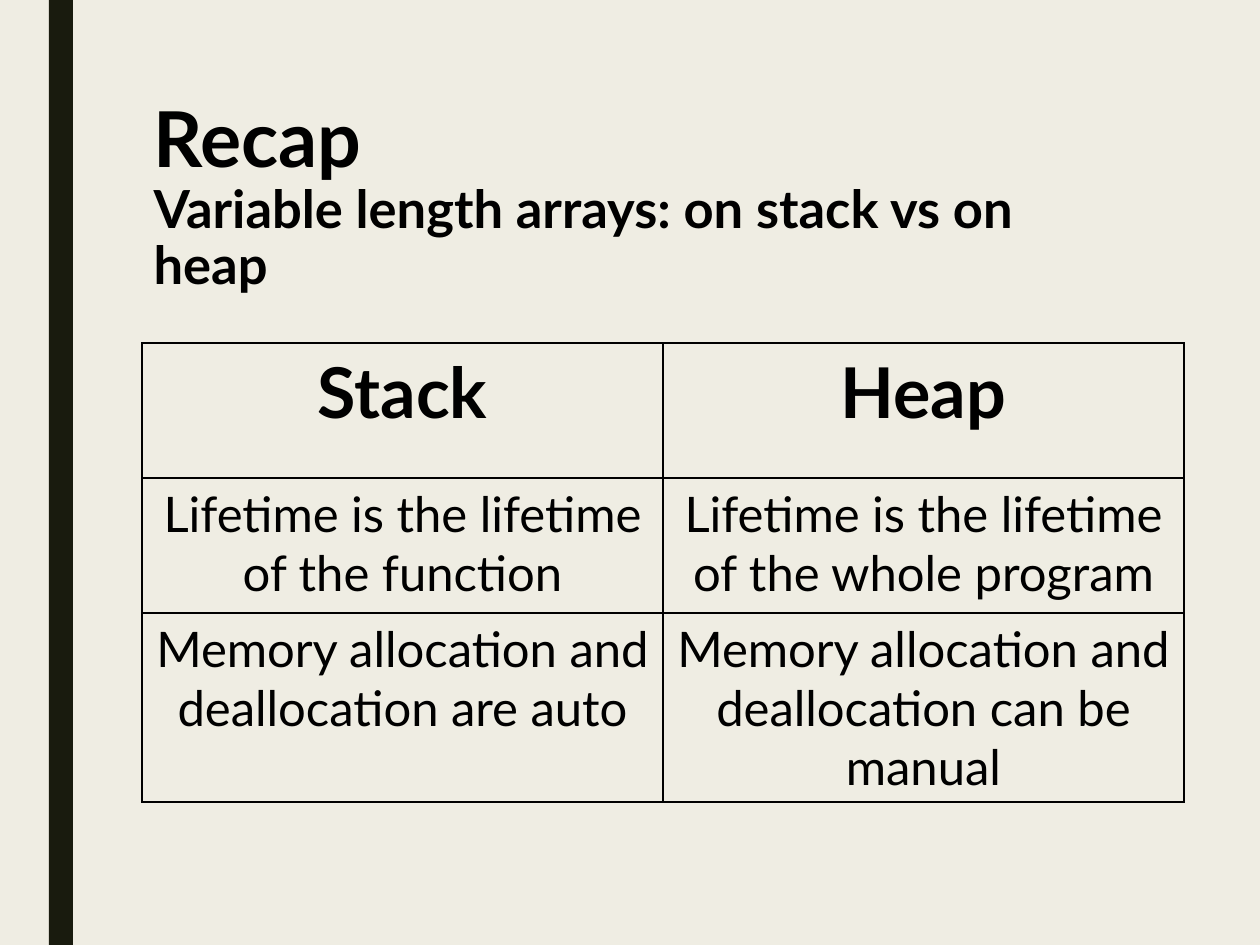
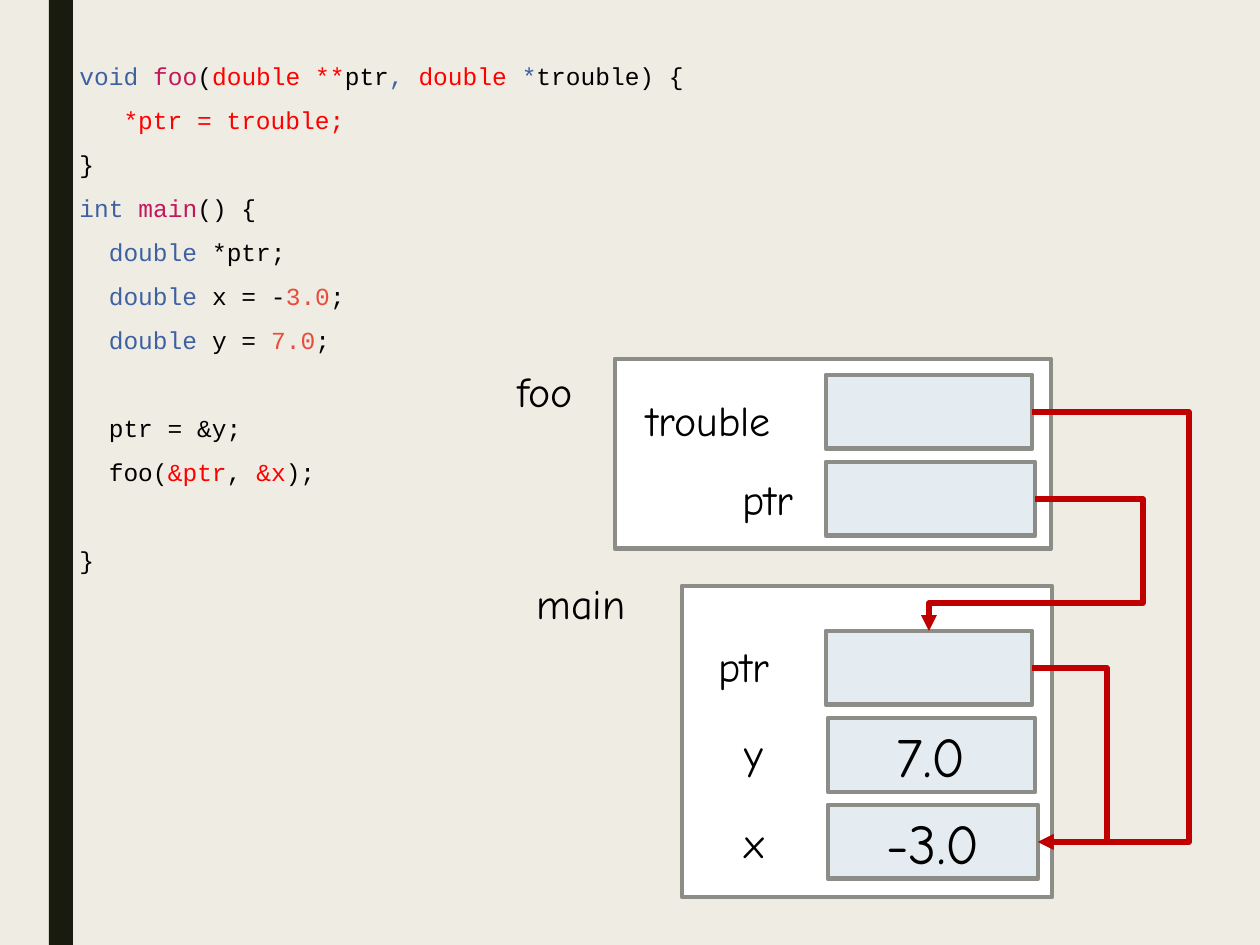
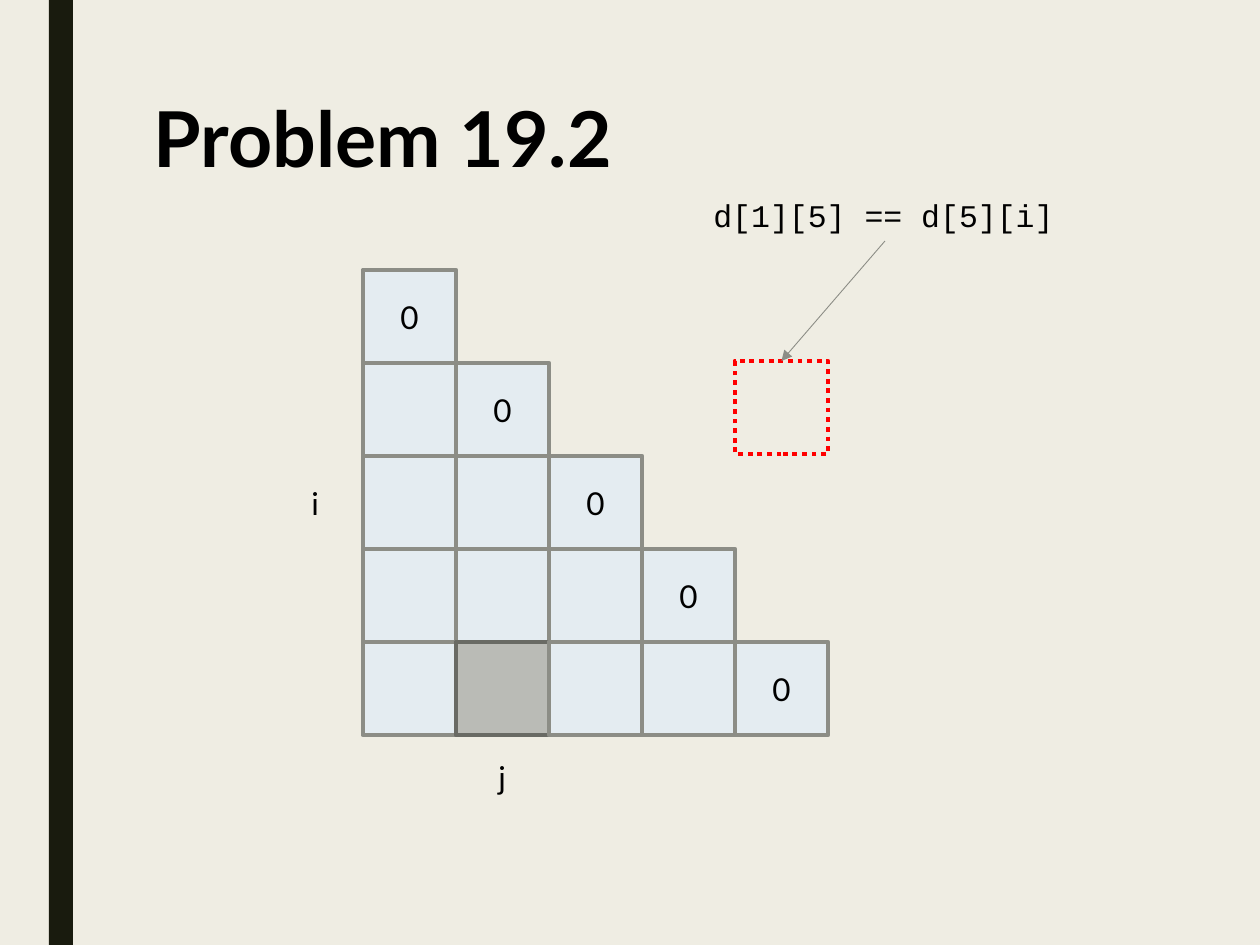
from dataclasses import dataclass

from lxml.etree import SubElement
from pptx import Presentation
from pptx.dml.color import RGBColor
from pptx.enum.dml import MSO_LINE
from pptx.enum.shapes import MSO_CONNECTOR as LINK, MSO_SHAPE
from pptx.enum.text import MSO_ANCHOR, MSO_AUTO_SIZE as FIT, PP_ALIGN
from pptx.oxml.ns import qn
from pptx.util import Inches, Pt

PX = 914400 // 126
TOP, BOTTOM, RIGHT = 0, 2, 3  # connection sites of a rectangle


@dataclass(frozen=True)
class Theme:
    paper: str = "EFEDE3"
    band: str = "191B0E"
    ink: str = "000000"
    white: str = "FFFFFF"
    cell: str = "E4ECF1"
    edge: str = "8C8D86"
    picked: str = "BABBB6"
    picked_edge: str = "696A64"
    arrow: str = "C00000"
    red: str = "FF0000"
    keyword: str = "3E61A2"
    function: str = "C2185B"
    number: str = "E74C3C"
    sans: str = "Lato"
    hand: str = "Comic Neue"
    mono: str = "Courier New"
    title: int = 44
    subtitle: int = 30
    head: int = 40
    body: int = 28
    value: int = 32
    label: int = 24
    small: int = 18
    code: int = 14
    edge_width: float = 2.75


T = Theme()


def write(p, text, size=T.small, font=T.sans, color=T.ink, bold=False):
    """Append a formatted run to paragraph p."""
    r = p.add_run()
    r.text = text
    r.font.size, r.font.name, r.font.bold = Pt(size), font, bold
    r.font.color.rgb = RGBColor.from_string(color)


def box(s, at, fill=None, line=None):
    """Add a rectangle at (left, top, width, height) px, ready for centred text."""
    sp = s.shapes.add_shape(MSO_SHAPE.RECTANGLE, *(v * PX for v in at))
    sp.shadow.inherit = False
    if fill:
        sp.fill.solid()
        sp.fill.fore_color.rgb = RGBColor.from_string(fill)
    else:
        sp.fill.background()
    if line:
        sp.line.color.rgb = RGBColor.from_string(line)
        sp.line.width = Pt(T.edge_width)
    else:
        sp.line.fill.background()
    sp.text_frame.vertical_anchor = MSO_ANCHOR.MIDDLE
    sp.text_frame.paragraphs[0].alignment = PP_ALIGN.CENTER
    return sp


prs = Presentation()
prs.slide_width, prs.slide_height = Inches(10), Inches(7.5)
title_only, blank = prs.slide_layouts[5], prs.slide_layouts[6]
recap, memory, problem = (
    prs.slides.add_slide(layout) for layout in (title_only, blank, title_only))

# Background and band live on the master
master = prs.slide_master
master.background.fill.solid()
master.background.fill.fore_color.rgb = RGBColor.from_string(T.paper)
band = box(recap, (49, 0, 24, 945), T.band)
master.shapes.element.insert(2, band.element)

for s, text in ((recap, "Recap"), (problem, "Problem 19.2")):
    sp = s.shapes.title
    sp.left, sp.top, sp.width, sp.height = (v * PX for v in (141, 95, 993, 204))
    tf = sp.text_frame
    tf.word_wrap, tf.auto_size, tf.vertical_anchor = True, FIT.NONE, MSO_ANCHOR.TOP
    p = tf.paragraphs[0]
    p.alignment, p.line_spacing = PP_ALIGN.LEFT, 0.89
    write(p, text, size=T.title, bold=True)

# Slide 1: comparison table
p = recap.shapes.title.text_frame.paragraphs[0]
p.add_line_break()
write(p, "Variable length arrays: on stack vs on heap", size=T.subtitle, bold=True)

rows = [
    ("Stack", "Heap"),
    ("Lifetime is the lifetime of the function",
     "Lifetime is the lifetime of the whole program"),
    ("Memory allocation and deallocation are auto",
     "Memory allocation and deallocation can be manual"),
]
table = recap.shapes.add_table(
    3, 2, *(v * PX for v in (142, 343, 1042, 405))).table
table.first_row = table.horz_banding = False
for i, row in enumerate(rows):
    for j, text in enumerate(row):
        cell = table.cell(i, j)
        p = cell.text_frame.paragraphs[0]
        p.alignment = PP_ALIGN.CENTER
        write(p, text, size=T.body if i else T.head, bold=i == 0)
        tcPr = cell._tc.get_or_add_tcPr()
        for side in ("a:lnL", "a:lnR", "a:lnT", "a:lnB"):
            ln = SubElement(tcPr, qn(side), w=str(Pt(1)))
            SubElement(SubElement(ln, qn("a:solidFill")), qn("a:srgbClr"), val=T.ink)
        cell.fill.background()

# Slide 2: code beside the stack frames
BLANK_LINE = Pt(25)
code = [
    [("void ", T.keyword), ("foo", T.function), ("(", T.ink), ("double **", T.red),
     ("ptr", T.ink), (", ", T.keyword), ("double ", T.red), ("*", T.keyword),
     ("trouble) {", T.ink)],
    [("   *ptr = trouble;", T.red)],
    [("}", T.ink)],
    [("int ", T.keyword), ("main", T.function), ("() {", T.ink)],
    [("  double", T.keyword), (" *ptr;", T.ink)],
    [("  double", T.keyword), (" x = -", T.ink), ("3.0", T.number), (";", T.ink)],
    [("  double", T.keyword), (" y = ", T.ink), ("7.0", T.number), (";", T.ink)],
    [("  ptr = &y;", T.ink)],
    [("  foo(", T.ink), ("&ptr", T.red), (", ", T.ink), ("&x", T.red), (");", T.ink)],
    [("}", T.ink)],
]
after_blank = (7, 9)
tf = memory.shapes.add_textbox(*(v * PX for v in (67, 40, 648, 542))).text_frame
tf.word_wrap, tf.auto_size = False, FIT.SHAPE_TO_FIT_TEXT
for n, line in enumerate(code):
    p = tf.add_paragraph() if n else tf.paragraphs[0]
    p.line_spacing = 1.5
    if n in after_blank:
        p.space_before = BLANK_LINE
    for text, color in line:
        write(p, text, size=T.code, font=T.mono, color=color)

for frame in ((682, 586, 370, 311), (615, 359, 436, 190)):
    box(memory, frame, T.white, T.edge)

CELL_H, PITCH = 74, 87
FOO_TOP, MAIN_TOP = 375, 631
variables = {}
for name, left, top, width, value in (
        ("foo trouble", 826, FOO_TOP, 206, ""),
        ("foo ptr", 826, FOO_TOP + PITCH, 209, ""),
        ("main ptr", 826, MAIN_TOP, 206, ""),
        ("main y", 828, MAIN_TOP + PITCH, 207, "7.0"),
        ("main x", 828, MAIN_TOP + 2 * PITCH, 210, "-3.0")):
    sp = variables[name] = box(memory, (left, top, width, CELL_H), T.cell, T.edge)
    if value:
        write(sp.text_frame.paragraphs[0], value, size=T.value, font=T.hand)

# Slide 3: lower triangle of a symmetric matrix
SIDE, GRID_X, GRID_Y = 93, 363, 270
for i in range(5):
    for j in range(i + 1):
        colors = (T.picked, T.picked_edge) if (i, j) == (4, 1) else (T.cell, T.edge)
        sp = box(problem, (GRID_X + j * SIDE, GRID_Y + i * SIDE, SIDE, SIDE), *colors)
        if i == j:
            write(sp.text_frame.paragraphs[0], "0")
mirrored = box(problem, (GRID_X + 4 * SIDE, 361, SIDE, SIDE), line=T.red)
mirrored.line.dash_style = MSO_LINE.ROUND_DOT

# Labels of both diagrams
for s, text, at, size, font in (
        (memory, "main", (524, 571, 145, 63), T.label, T.hand),
        (memory, "foo", (505, 359, 110, 63), T.label, T.hand),
        (memory, "trouble", (634, 388, 197, 63), T.label, T.hand),
        (memory, "ptr", (730, 467, 95, 63), T.label, T.hand),
        (memory, "ptr", (706, 634, 95, 63), T.label, T.hand),
        (memory, "y", (732, 721, 52, 63), T.label, T.hand),
        (memory, "x", (732, 810, 53, 63), T.label, T.hand),
        (problem, "i", (299, 478, 33, 51), T.small, T.sans),
        (problem, "j", (486, 752, 33, 51), T.small, T.sans),
        (problem, "d[1][5] == d[5][i]", (701, 190, 368, 51), T.small, T.mono)):
    label = s.shapes.add_textbox(*(v * PX for v in at))
    tf = label.text_frame
    tf.word_wrap, tf.auto_size = False, FIT.SHAPE_TO_FIT_TEXT
    write(tf.paragraphs[0], text, size=size, font=font)
equality = label

# Arrows: lanes are the x, then the y, where an elbow turns
for s, start, site, end, end_site, lanes, color, width in (
        (memory, variables["main ptr"], RIGHT, variables["main x"], RIGHT,
         (1107,), T.arrow, 3),
        (memory, variables["foo ptr"], RIGHT, variables["main ptr"], TOP,
         (1143, 603), T.arrow, 3),
        (memory, variables["foo trouble"], RIGHT, variables["main x"], RIGHT,
         (1189,), T.arrow, 3),
        (problem, equality, BOTTOM, mirrored, TOP, (), T.edge, 0.5)):
    c = s.shapes.add_connector(LINK.ELBOW if lanes else LINK.STRAIGHT, 0, 0, 0, 0)
    c.begin_connect(start, site)
    c.end_connect(end, end_site)
    c.line.color.rgb = RGBColor.from_string(color)
    c.line.width = Pt(width)
    spPr = c.element.spPr
    SubElement(spPr.find(qn("a:ln")), qn("a:tailEnd"), type="triangle")
    SubElement(spPr, qn("a:effectLst"))
    geom = spPr.find(qn("a:prstGeom"))
    if len(lanes) == 2:
        geom.set("prst", "bentConnector4")
    spans = ((c.begin_x, c.end_x), (c.begin_y, c.end_y))
    for n, (lane, (first, last)) in enumerate(zip(lanes, spans), 1):
        share = round((lane * PX - first) / (last - first) * 100000)
        SubElement(geom.find(qn("a:avLst")), qn("a:gd"),
                   name=f"adj{n}", fmla=f"val {share}")

prs.save("out.pptx")
